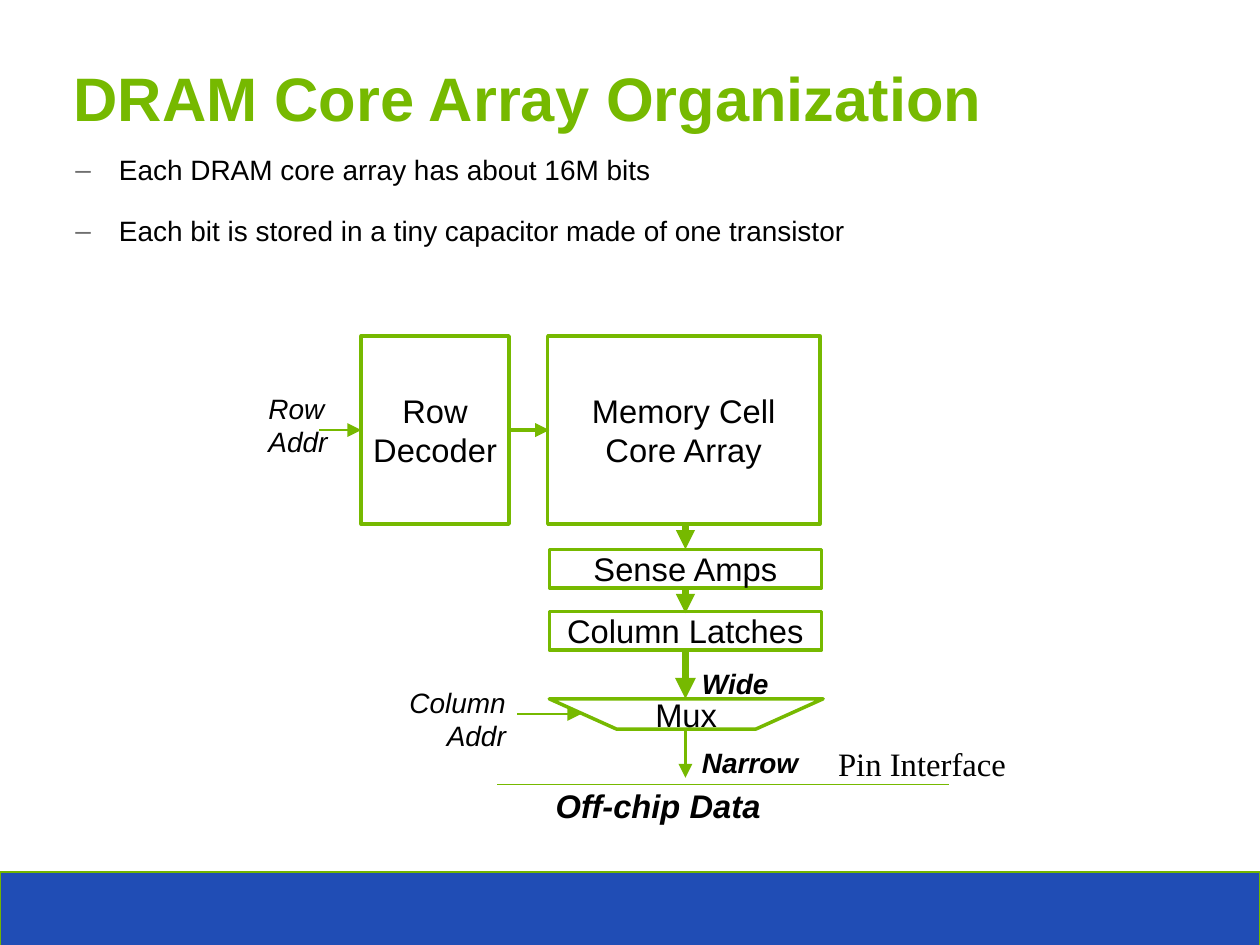
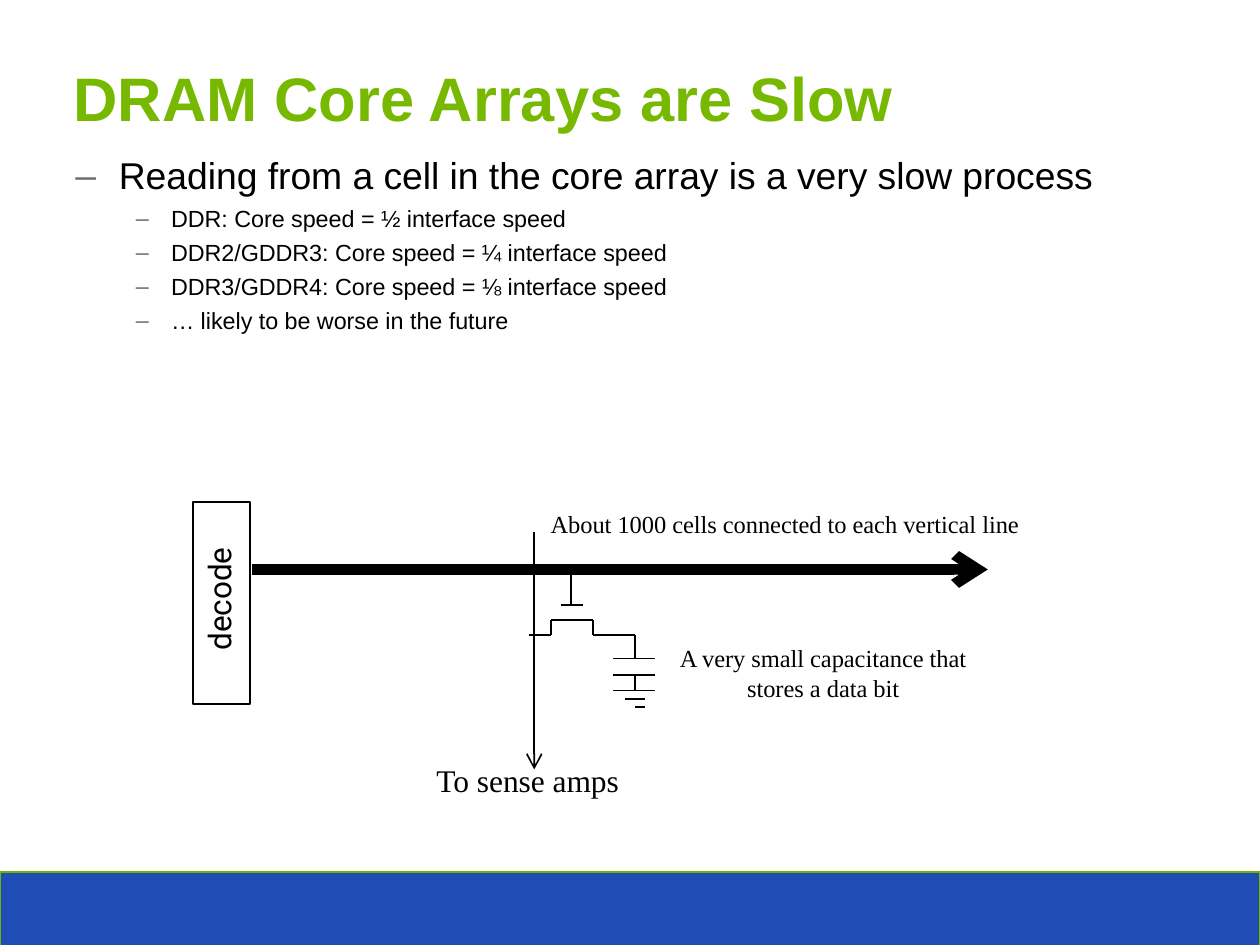
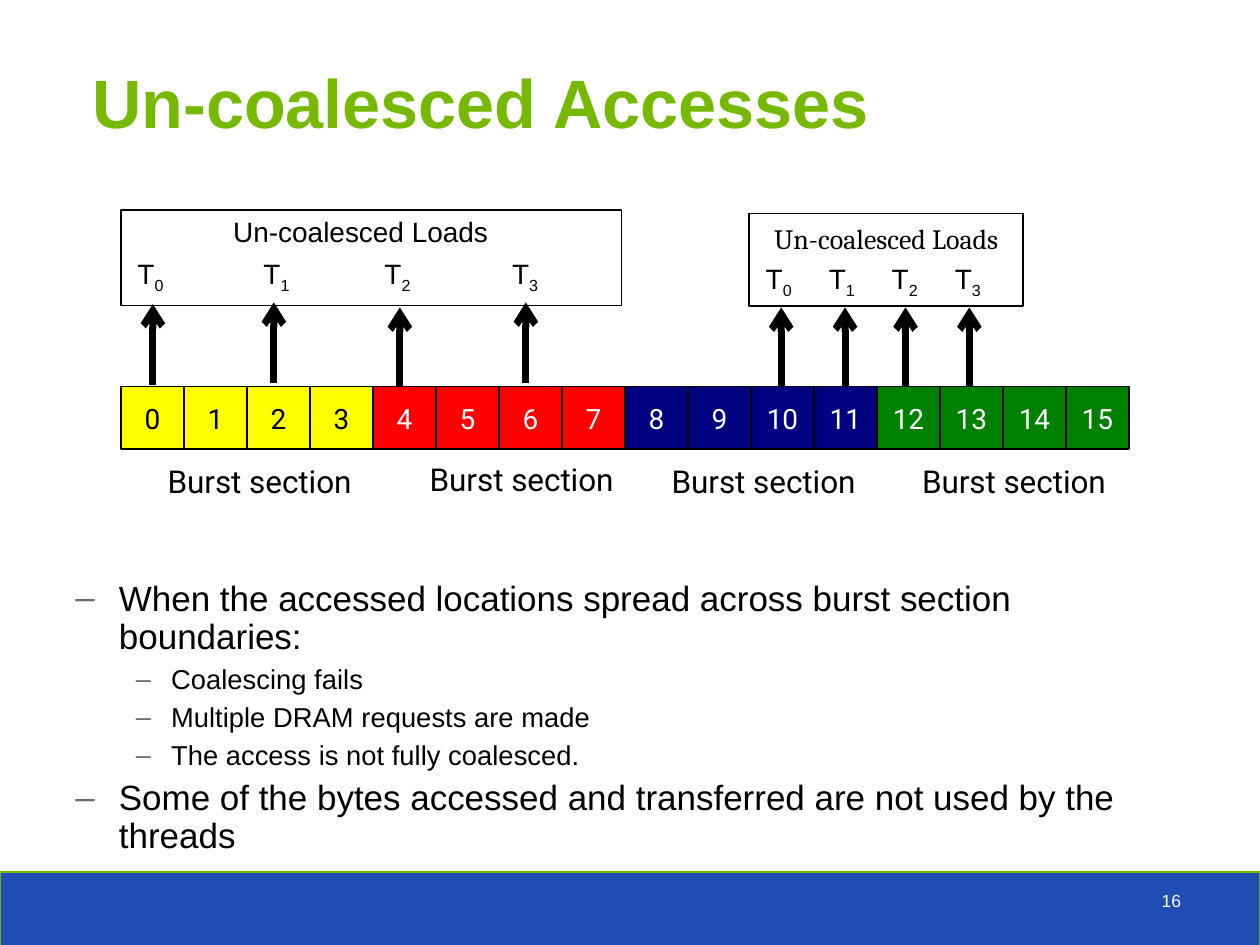
from pptx import Presentation
from pptx.dml.color import RGBColor as RGB
from pptx.enum.shapes import MSO_CONNECTOR as Conn, MSO_SHAPE as Geo
from pptx.enum.text import MSO_ANCHOR as Anchor, MSO_AUTO_SIZE as Auto, PP_ALIGN as Align
from pptx.oxml.ns import qn
from pptx.util import Inches, Pt
from lxml.etree import SubElement as Sub

WIDTH = Inches(7.5)
HEIGHT = WIDTH * 3 // 4

GREEN = RGB(0x76, 0xB9, 0x00)
EDGE = RGB(0x72, 0xB4, 0x00)
BLUE = RGB(0x20, 0x4D, 0xB5)
GRAY = RGB(0x6F, 0x6F, 0x6F)
BLACK = RGB(0, 0, 0)
WHITE = RGB(0xFF, 0xFF, 0xFF)
YELLOW = RGB(0xFF, 0xFF, 0)
RED = RGB(0xFF, 0, 0)
NAVY = RGB(0, 0, 0x80)
LEAF = RGB(0, 0x80, 0)

SANS, SERIF, ROBOTO = "Arial", "Times New Roman", "Roboto"
ITALIC = {"italic": True}
STRONG = {"italic": True, "bold": True}
NO_PAD = {"margin_left": 0, "margin_right": 0, "margin_top": 0, "margin_bottom": 0}
LEVELS = [(0.26, -0.26), (0.57, -0.21)]


# Shared helpers
def apply(item, values):
    for name, value in values.items():
        setattr(item, name, value)


def style(run, size, face=SANS, color=BLACK, **extra):
    apply(run.font, {"size": Pt(size), "name": face, **extra})
    run.font.color.rgb = color


def write(frame, text, size, align=Align.LEFT, **look):
    for i, line in enumerate(text.split("\n")):
        par = frame.add_paragraph() if i else frame.paragraphs[0]
        par.alignment = align
        run = par.add_run()
        run.text = line
        style(run, size, **look)


def label(slide, at, text, size, wrap=False, **look):
    box = slide.shapes.add_textbox(*map(Inches, at))
    apply(box.text_frame, {"word_wrap": wrap, "auto_size": Auto.SHAPE_TO_FIT_TEXT})
    write(box.text_frame, text, size, **look)
    return box


def finish(shape, fill, edge, width):
    shape.shadow.inherit = False
    if fill is None:
        shape.fill.background()
    else:
        shape.fill.solid()
        shape.fill.fore_color.rgb = fill
    shape.line.color.rgb = edge
    shape.line.width = Pt(width)


def fill_text(shape, text, size, **look):
    apply(shape.text_frame, {"word_wrap": False, "vertical_anchor": Anchor.MIDDLE, **NO_PAD})
    write(shape.text_frame, text, size, Align.CENTER, **look)


def block(slide, at, fill=None, edge=BLACK, width=0.75):
    shape = slide.shapes.add_shape(Geo.RECTANGLE, *map(Inches, at))
    finish(shape, fill, edge, width)
    return shape


def wire(slide, ends, color=BLACK, width=0.75, head=None):
    line = slide.shapes.add_connector(Conn.STRAIGHT, *map(Inches, ends))
    line.line.color.rgb = color
    line.line.width = Pt(width)
    props = line._element.spPr
    if head:
        Sub(props.find(qn("a:ln")), qn("a:tailEnd"), type=head)
    Sub(props, qn("a:effectLst"))


def bullets(slide, at, items, spacing, gap=1.9):
    frame = slide.shapes.add_textbox(*map(Inches, at)).text_frame
    frame.word_wrap = True
    for i, (level, size, text) in enumerate(items):
        par = frame.add_paragraph() if i else frame.paragraphs[0]
        props = par._p.get_or_add_pPr()
        left, hang = LEVELS[level]
        props.set("marL", str(Inches(left)))
        props.set("indent", str(Inches(hang)))
        Sub(Sub(props, qn("a:buClr")), qn("a:srgbClr"), val=str(GRAY))
        Sub(props, qn("a:buFont"), typeface=SANS)
        Sub(props, qn("a:buChar"), char="–")
        apply(par, {"level": level, "line_spacing": spacing, "space_after": Pt(1.9),
                    "space_before": Pt(gap if i else 0)})
        run = par.add_run()
        run.text = text
        style(run, size)


def page(deck, title, size=26.3, pad=0.1):
    slide = deck.slides.add_slide(deck.slide_layouts[6])
    block(slide, (0, 5.19, 7.5, 0.44), BLUE, EDGE)
    box = slide.shapes.add_textbox(*map(Inches, (0.34, 0.32, 6.82, 0.48)))
    apply(box.text_frame, {"word_wrap": True, "margin_left": Inches(pad),
                           "margin_top": Inches(0.04)})
    write(box.text_frame, title, size, color=GREEN, bold=True)
    return slide


# Slide 1: block diagram of the array
def array(deck):
    slide = page(deck, "DRAM Core Array Organization")
    bullets(slide, (0.35, 0.89, 6.8, 4.4), [
        (0, 12, "Each DRAM core array has about 16M bits"),
        (0, 12, "Each bit is stored in a tiny capacitor made of one transistor"),
    ], 0.85, 12)

    for at, text in [
        ((3.26, 2, 1.62, 1.12), "Memory Cell\nCore Array"),
        ((2.15, 2, 0.88, 1.12), "Row\nDecoder"),
        ((3.27, 3.27, 1.62, 0.23), "Sense Amps"),
        ((3.27, 3.64, 1.62, 0.23), "Column Latches"),
    ]:
        fill_text(block(slide, at, None, GREEN, 1.5), text, 14)

    # Mux outline
    points = [(Inches(x), Inches(y))
              for x, y in [(3.27, 4.16), (3.67, 4.34), (4.5, 4.34), (4.9, 4.16)]]
    outline = slide.shapes.build_freeform(*points[0])
    outline.add_line_segments(points[1:], close=True)
    mux = outline.convert_to_shape()
    finish(mux, None, GREEN, 1.5)
    fill_text(mux, "Mux", 14)

    # Data and address flow
    for ends, width in [
        ((3.02, 2.56, 3.27, 2.56), 2),
        ((4.08, 3.88, 4.08, 4.16), 3),
        ((4.08, 4.34, 4.08, 4.63), 1),
        ((1.9, 2.56, 2.15, 2.56), 1),
        ((3.08, 4.25, 3.46, 4.25), 1),
        ((4.08, 3.13, 4.08, 3.27), 2.75),
        ((4.08, 3.51, 4.08, 3.65), 2.75),
    ]:
        wire(slide, ends, GREEN, width, "triangle")
    wire(slide, (2.96, 4.67, 5.65, 4.67), GREEN)

    label(slide, (1.5, 2.28, 0.56, 0.5), "Row\nAddr", 12, **ITALIC)
    label(slide, (1.65, 4.03, 1.46, 0.5), "Column\nAddr", 12, True, align=Align.RIGHT, **ITALIC)
    label(slide, (3.21, 4.63, 1.43, 0.34), "Off-chip Data", 14, **STRONG)
    label(slide, (4.08, 3.92, 0.6, 0.3), "Wide", 12, **STRONG)
    label(slide, (4.08, 4.39, 0.78, 0.3), "Narrow", 12, **STRONG)
    label(slide, (4.89, 4.38, 1.21, 0.34), "Pin Interface", 14, face=SERIF)


# Slide 2: one cell on its lines
def cell(deck):
    slide = page(deck, "DRAM Core Arrays are Slow")
    bullets(slide, (0.35, 0.89, 6.8, 4.4), [
        (0, 16, "Reading from a cell in the core array is a very slow process"),
        (1, 10, "DDR: Core speed = ½ interface speed"),
        (1, 10, "DDR2/GDDR3: Core speed = ¼ interface speed"),
        (1, 10, "DDR3/GDDR4: Core speed = ⅛ interface speed"),
        (1, 10, "… likely to be worse in the future"),
    ], 0.9)

    block(slide, (1.15, 2.99, 0.34, 1.2))
    label(slide, (0.9, 3.4, 0.81, 0.33), "decode", 13.5, face=ROBOTO).rotation = 270
    wire(slide, (1.5, 3.39, 5.88, 3.39), width=4.5, head="arrow")
    wire(slide, (3.18, 3.17, 3.18, 4.58), head="arrow")

    # Transistor, capacitor and ground
    for x, top, end in [(3.4, 3.41, 3.6), (3.28, 3.69, 3.78), (3.53, 3.69, 3.78),
                        (3.78, 3.78, 3.92), (3.78, 4.02, 4.11)]:
        wire(slide, (x, top, x, end))
    for y, left, end in [(3.6, 3.34, 3.47), (3.69, 3.28, 3.53), (3.78, 3.15, 3.28),
                         (3.78, 3.53, 3.78), (3.92, 3.65, 3.9), (4.02, 3.65, 3.9),
                         (4.11, 3.65, 3.9), (4.16, 3.72, 3.84), (4.21, 3.78, 3.84)]:
        wire(slide, (left, y, end, y))

    label(slide, (2.5, 4.48, 3.06, 0.33), "To sense amps", 13.5, True, face=SERIF)
    label(slide, (3.84, 3.78, 2.12, 0.45), "A very small capacitance that stores a data bit",
          10.5, True, face=SERIF, align=Align.CENTER)
    label(slide, (3.18, 2.98, 3.07, 0.28), "About 1000 cells connected to each vertical line",
          10.5, True, face=SERIF)


# Slide 3: loads over burst sections
def loads(slide, frame, head, face, top, threads):
    label(slide, head, "Un-coalesced Loads", 12, face=face)
    block(slide, frame)
    for i, (left, x, low, high) in enumerate(threads):
        box = label(slide, (left, top, 0.37, 0.3), "T", 12)
        run = box.text_frame.paragraphs[0].add_run()
        run.text = str(i)
        style(run, 12)
        run._r.get_or_add_rPr().set("baseline", "-25000")
        wire(slide, (x, low, x, high), width=3, head="arrow")


def bursts(deck):
    slide = page(deck, "Un-coalesced Accesses", 29.3, 0.21)
    bullets(slide, (0.35, 3.41, 6.8, 1.87), [
        (0, 15, "When the accessed locations spread across burst section boundaries:"),
        (1, 11.7, "Coalescing fails"),
        (1, 11.7, "Multiple DRAM requests are made"),
        (1, 11.7, "The access is not fully coalesced."),
        (0, 15, "Some of the bytes accessed and transferred are not used by the threads"),
    ], 0.9)
    label(slide, (5.38, 5.25, 1.75, 0.25), "16", 7.5, True, color=WHITE, align=Align.RIGHT)

    # Four sections of four cells
    step = 0.375
    sections = [(YELLOW, BLACK, 0.9, 2.7), (RED, WHITE, 2.46, 2.69),
                (NAVY, WHITE, 3.9, 2.7), (LEAF, WHITE, 5.39, 2.7)]
    for i, (fill, ink, left, top) in enumerate(sections):
        for n in range(4 * i, 4 * i + 4):
            square = block(slide, (0.72 + n * step, 2.3, step, step), fill)
            fill_text(square, str(n), 12, face=ROBOTO, color=ink)
        label(slide, (left, top, 1.36, 0.33), "Burst section", 13.5, face=ROBOTO)

    loads(slide, (4.46, 1.27, 1.63, 0.55), (4.51, 1.27, 1.57, 0.3), "Cambria", 1.51, [
        (4.46 + i * step, x, 2.3, 1.83) for i, x in enumerate([4.65, 5.03, 5.39, 5.77])])
    loads(slide, (0.72, 1.25, 2.98, 0.57), (1.29, 1.23, 1.73, 0.3), SANS, 1.48, [
        (0.72, 0.91, 2.29, 1.81), (1.47, 1.63, 2.28, 1.8),
        (2.19, 2.38, 2.3, 1.83), (2.95, 3.13, 2.28, 1.8)])


def main():
    deck = Presentation()
    apply(deck, {"slide_width": WIDTH, "slide_height": HEIGHT})
    for build in (array, cell, bursts):
        build(deck)
    deck.save("out.pptx")


if __name__ == "__main__":
    main()
